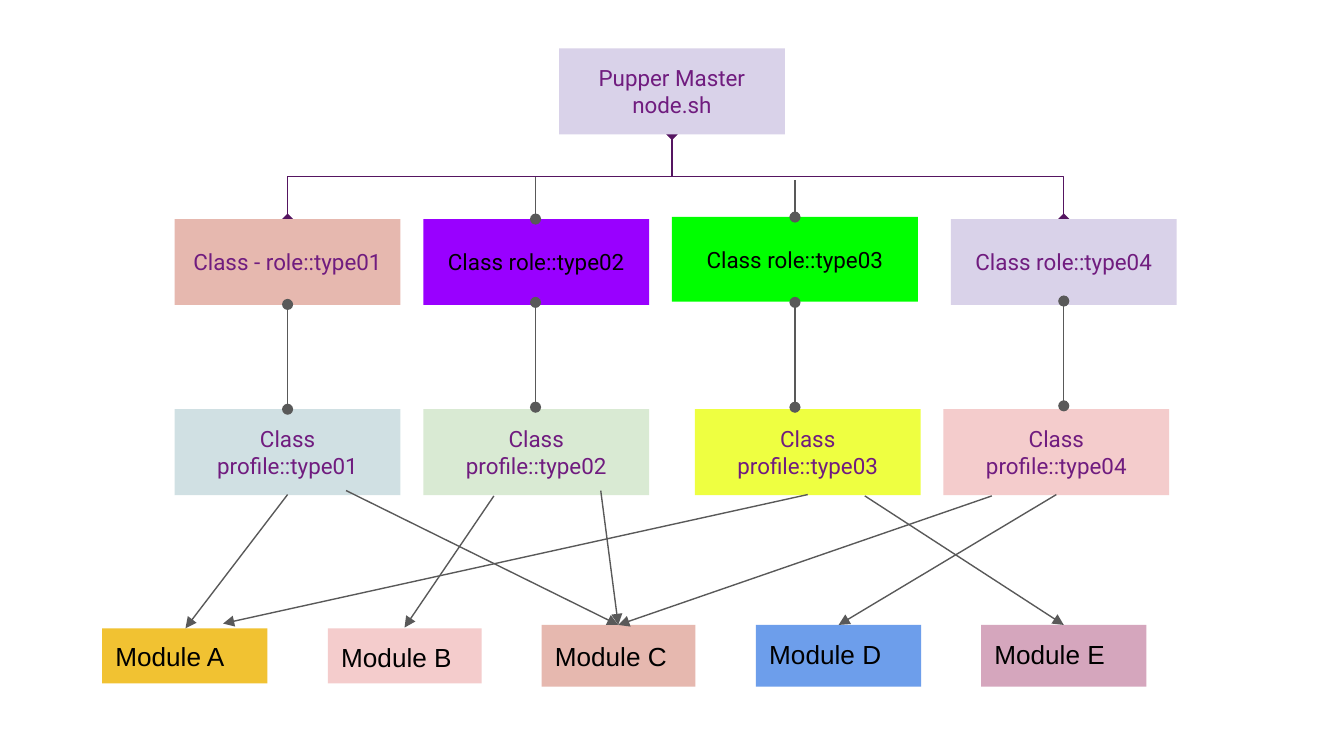
from dataclasses import dataclass

from lxml.etree import SubElement
from pptx import Presentation
from pptx.dml.color import RGBColor
from pptx.enum.shapes import MSO_CONNECTOR as Connector, MSO_SHAPE as Shape
from pptx.enum.text import MSO_ANCHOR as Anchor, PP_ALIGN as Align
from pptx.oxml.ns import qn
from pptx.util import Emu, Pt

EMU_PER_PX = 4572  # 200 px to the inch
CLASS_WIDTH, CLASS_HEIGHT = 336, 128


@dataclass(frozen=True)
class Theme:
    class_font: str = "Roboto"
    module_font: str = "Arial"
    class_size: int = 12
    module_size: int = 14
    line_width: float = 0.75
    purple: str = "701C7F"
    trunk: str = "551561"
    link: str = "595959"
    black: str = "000000"
    lavender: str = "D9D2E9"
    clay: str = "E6B8AF"
    violet: str = "9900FF"
    green: str = "00FF00"
    mist: str = "D0E0E3"
    sage: str = "D9EAD3"
    yellow: str = "EEFF41"
    rose: str = "F4CCCC"
    gold: str = "F1C232"
    blue: str = "6D9EEB"
    mauve: str = "D5A6BD"


@dataclass(frozen=True)
class Box:
    left: int
    top: int
    width: int
    height: int


THEME = Theme()


def px(length):
    return Emu(round(length * EMU_PER_PX))


def write_text(shape, text, font, size, color, align, anchor=Anchor.MIDDLE):
    frame = shape.text_frame
    frame.word_wrap = True
    frame.vertical_anchor = anchor
    frame.margin_left = frame.margin_right = px(20)
    frame.margin_top = frame.margin_bottom = px(20)
    frame.text = text
    for paragraph in frame.paragraphs:
        paragraph.alignment = align
        for run in paragraph.runs:
            run.font.name = font
            run.font.size = Pt(size)
            run.font.color.rgb = RGBColor.from_string(color)


def add_block(slide, box, fill, text, **text_format):
    shape = slide.shapes.add_shape(
        Shape.RECTANGLE, px(box.left), px(box.top), px(box.width), px(box.height))
    shape.shadow.inherit = False
    shape.fill.solid()
    shape.fill.fore_color.rgb = RGBColor.from_string(fill)
    shape.line.fill.background()
    write_text(shape, text, **text_format)


def add_class(slide, box, fill, text, color=THEME.purple):
    add_block(slide, box, fill, text, font=THEME.class_font, size=THEME.class_size,
              color=color, align=Align.CENTER)


def add_line(slide, start, end, color=THEME.link, head=None, tail=None,
             kind=Connector.STRAIGHT):
    line = slide.shapes.add_connector(kind, *map(px, (*start, *end)))
    line.line.color.rgb = RGBColor.from_string(color)
    line.line.width = Pt(THEME.line_width)
    outline = line.line._get_or_add_ln()
    for tag, ending in (("a:headEnd", head), ("a:tailEnd", tail)):
        if ending:
            SubElement(outline, qn(tag), type=ending, w="med", len="med")
    SubElement(line._element.spPr, qn("a:effectLst"))
    return line


def add_branch(slide, start, end):
    """Elbow that leaves downwards: a sideways elbow turned a quarter about its centre."""
    (x1, y1), (x2, y2) = start, end
    middle_x, middle_y = (x1 + x2) / 2, (y1 + y2) / 2
    half_width, half_height = (y2 - y1) / 2, abs(x2 - x1) / 2
    side = 1 if x2 > x1 else -1
    line = add_line(
        slide,
        (middle_x + side * half_width, middle_y - half_height),
        (middle_x - side * half_width, middle_y + half_height),
        color=THEME.trunk, head="diamond", tail="diamond", kind=Connector.ELBOW)
    quarter_turns = 3 if side > 0 else 1
    line._element.spPr.find(qn("a:xfrm")).set("rot", str(quarter_turns * 5400000))


def add_master(slide, box):
    """Top node with its two branches down to the outer roles."""
    center = box.left + box.width // 2
    bottom = box.top + box.height
    for offset in (583, -572):
        add_branch(slide, (center, bottom), (center + offset, bottom + 126))
    add_class(slide, box, THEME.lavender, "Pupper Master\nnode.sh")


def add_roles(slide, box):
    roles = (
        (0, 0, CLASS_WIDTH, box.height, THEME.clay, "Class - role::type01", THEME.purple),
        (370, 0, CLASS_WIDTH, box.height, THEME.violet, "Class role::type02", THEME.black),
        (740, -3, 366, 126, THEME.green, "Class role::type03", THEME.black),
        (1155, 0, CLASS_WIDTH, box.height, THEME.lavender, "Class role::type04", THEME.purple),
    )
    for x, y, width, height, fill, text, color in roles:
        add_class(slide, Box(box.left + x, box.top + y, width, height), fill, text, color)
    for x, y, stem_top in ((537, 0, -62), (923, -3, -58)):
        add_line(slide, (box.left + x, box.top + y),
                 (box.left + x, box.top + stem_top), head="oval")


def add_role_links(slide, box):
    for x, top, bottom in ((168, 5, 161), (537, 2, 158), (923, 2, 158), (1323, 0, 156)):
        add_line(slide, (box.left + x, box.top + top), (box.left + x, box.top + bottom),
                 head="oval", tail="oval")


def add_profiles(slide, box):
    profiles = ((0, THEME.mist), (370, THEME.sage), (774, THEME.yellow), (1144, THEME.rose))
    for number, (x, fill) in enumerate(profiles, start=1):
        add_class(slide, Box(box.left + x, box.top, CLASS_WIDTH, box.height), fill,
                  f"Class profile::type{number:02}")


def add_module_links(slide, box):
    links = (
        ((276, 6), (124, 205)), ((363, 0), (768, 200)),
        ((583, 8), (450, 204)), ((742, 0), (768, 200)),
        ((1050, 6), (180, 198)), ((1135, 8), (1431, 200)),
        ((1324, 8), (768, 200)), ((1420, 6), (1096, 200)),
    )
    for (x1, y1), (x2, y2) in links:
        add_line(slide, (box.left + x1, box.top + y1), (box.left + x2, box.top + y2),
                 tail="triangle")


def add_modules(slide, box):
    modules = (
        ("A", 0, 5, 246, 82, THEME.gold, Anchor.MIDDLE),
        ("B", 336, 5, 229, 82, THEME.rose, Anchor.TOP),
        ("C", 654, 0, 229, 92, THEME.clay, Anchor.MIDDLE),
        ("D", 973, 0, 246, 92, THEME.blue, Anchor.TOP),
        ("E", 1308, 0, 246, 92, THEME.mauve, Anchor.TOP),
    )
    for letter, x, y, width, height, fill, anchor in modules:
        add_block(slide, Box(box.left + x, box.top + y, width, height), fill,
                  f"Module {letter}", font=THEME.module_font, size=THEME.module_size,
                  color=THEME.black, align=Align.LEFT, anchor=anchor)


def main():
    presentation = Presentation()
    presentation.slide_width, presentation.slide_height = px(2000), px(1125)
    slide = presentation.slides.add_slide(presentation.slide_layouts[6])
    add_master(slide, Box(832, 72, CLASS_WIDTH, CLASS_HEIGHT))
    add_roles(slide, Box(260, 326, 1491, CLASS_HEIGHT))
    add_profiles(slide, Box(260, 609, 1480, CLASS_HEIGHT))
    add_modules(slide, Box(152, 930, 1554, 92))
    add_module_links(slide, Box(152, 730, 1554, 200))
    add_role_links(slide, Box(260, 448, 1491, 161))
    presentation.save("out.pptx")


if __name__ == "__main__":
    main()
